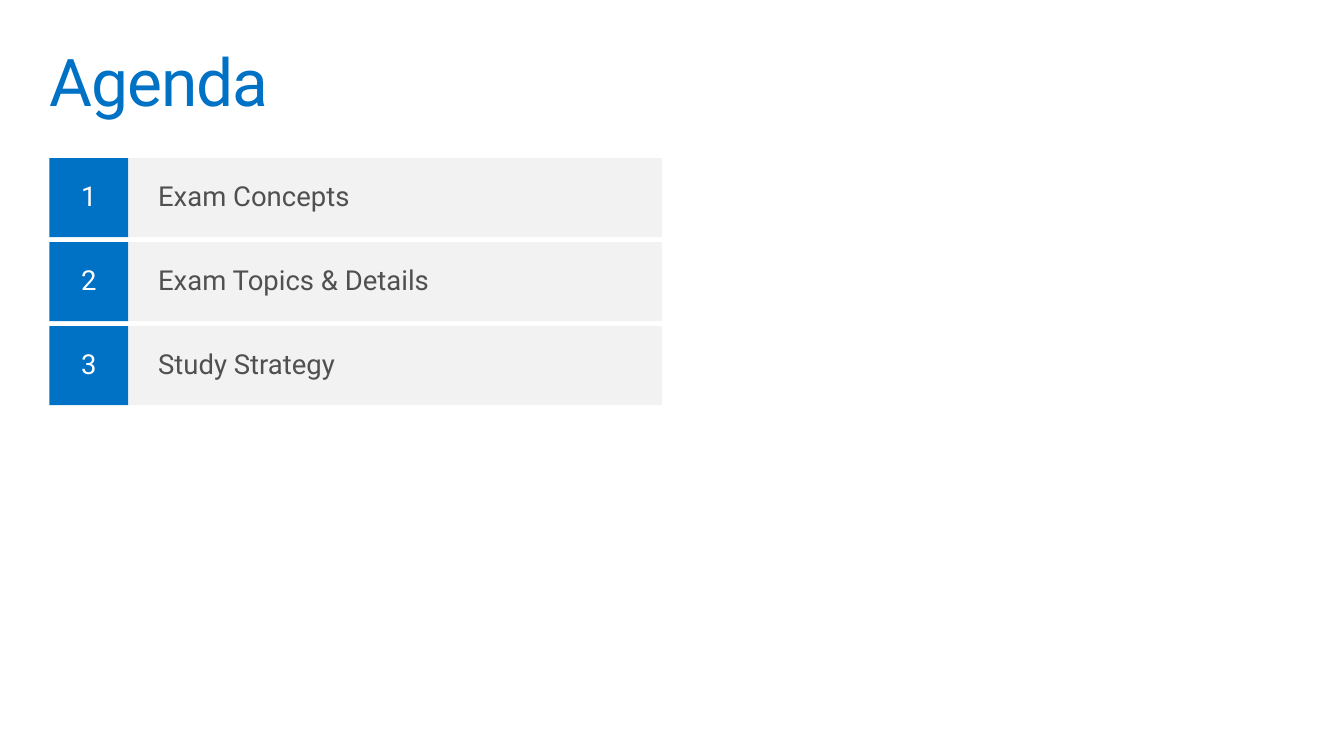
from pptx import Presentation
from pptx.dml.color import RGBColor
from pptx.enum.shapes import MSO_SHAPE
from pptx.enum.text import MSO_ANCHOR, PP_ALIGN
from pptx.util import Pt

RECTANGLE = MSO_SHAPE.RECTANGLE
TOP, MIDDLE = MSO_ANCHOR.TOP, MSO_ANCHOR.MIDDLE
LEFT, CENTER = PP_ALIGN.LEFT, PP_ALIGN.CENTER

# Content
TITLE = "Agenda"
TOPICS = ["Exam Concepts", "Exam Topics & Details", "Study Strategy"]

# Style and layout, in px (100 px to the inch)
COLORS = {"blue": "0072C6", "gray": "F2F2F2", "text": "505050", "white": "FFFFFF"}
FONT = "Roboto"
SLIDE_SIZE = (1360, 765)
TITLE_BOX = (40, 40, 1280, 100)
LIST_LEFT, LIST_TOP = 50, 160
ROW_HEIGHT, ROW_GAP = 80, 5
NUMBER_WIDTH, TOPIC_WIDTH = 80, 540


def px(length):
    return length * 9144


def color(name):
    return RGBColor.from_string(COLORS[name])


def write(shape, text, size, color_name, margins, anchor=MIDDLE, alignment=LEFT):
    frame = shape.text_frame
    frame.word_wrap = True
    frame.vertical_anchor = anchor
    frame.margin_left = frame.margin_right = px(margins[0])
    frame.margin_top = frame.margin_bottom = px(margins[1])
    paragraph = frame.paragraphs[0]
    paragraph.text = text
    paragraph.alignment = alignment
    paragraph.line_spacing = 0.9
    paragraph.font.name = FONT
    paragraph.font.size = Pt(size)
    paragraph.font.color.rgb = color(color_name)
    return paragraph


def add_block(slide, box, fill_name):
    shape = slide.shapes.add_shape(RECTANGLE, *map(px, box))
    shape.shadow.inherit = False
    shape.fill.solid()
    shape.fill.fore_color.rgb = color(fill_name)
    shape.line.fill.background()
    return shape


def main():
    presentation = Presentation()
    presentation.slide_width, presentation.slide_height = map(px, SLIDE_SIZE)
    slide = presentation.slides.add_slide(presentation.slide_layouts[6])

    # Title with slightly tightened letters
    title = slide.shapes.add_textbox(*map(px, TITLE_BOX))
    paragraph = write(title, TITLE, 48, "blue", (10, 10), anchor=TOP)
    paragraph.runs[0]._r.get_or_add_rPr().set("spc", "-70")

    # Numbered agenda rows
    for index, topic in enumerate(TOPICS):
        top = LIST_TOP + index * (ROW_HEIGHT + ROW_GAP)
        number_box = (LIST_LEFT, top, NUMBER_WIDTH, ROW_HEIGHT)
        topic_box = (LIST_LEFT + NUMBER_WIDTH, top, TOPIC_WIDTH, ROW_HEIGHT)
        number_block = add_block(slide, number_box, "blue")
        write(number_block, str(index + 1), 20, "white", (20, 16), alignment=CENTER)
        topic_block = add_block(slide, topic_box, "gray")
        write(topic_block, topic, 20, "text", (30, 10))

    presentation.save("out.pptx")


if __name__ == "__main__":
    main()
